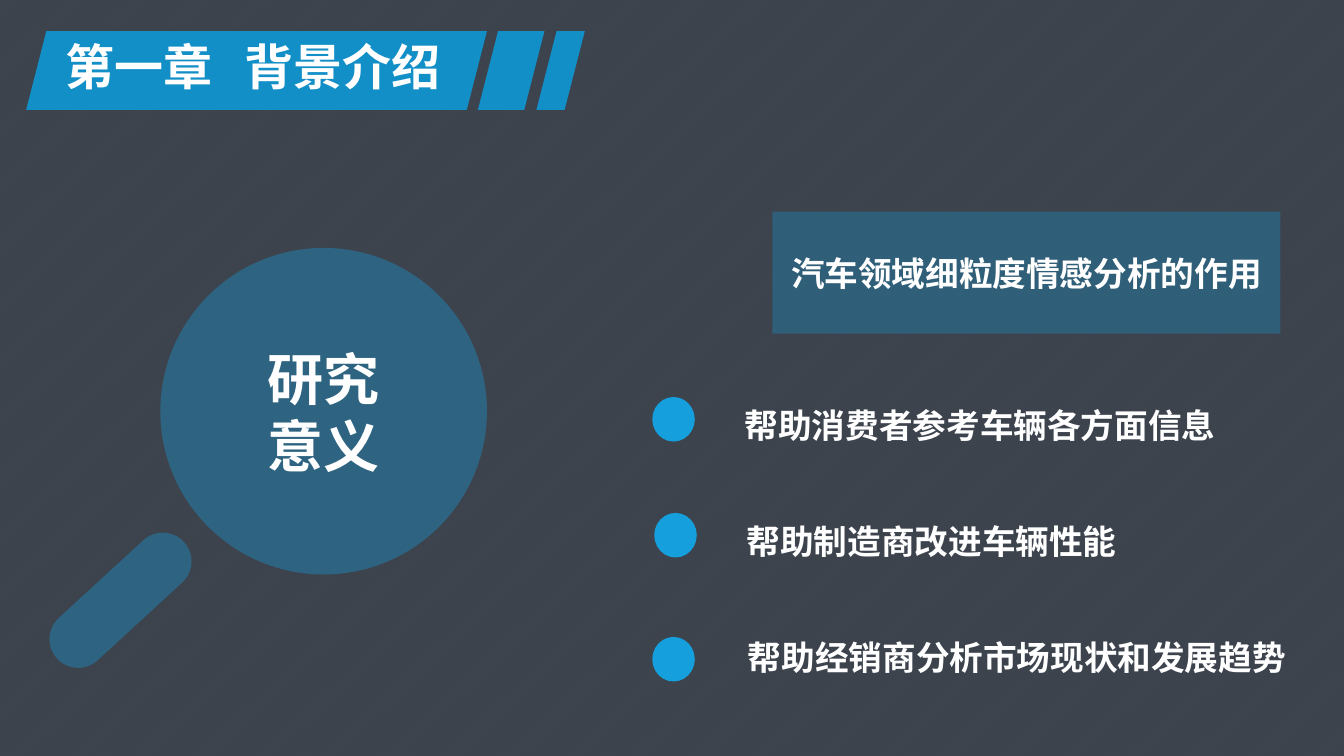
from pptx import Presentation
from pptx.dml.color import RGBColor
from pptx.enum.dml import MSO_PATTERN
from pptx.enum.shapes import MSO_SHAPE as Shape
from pptx.enum.text import MSO_ANCHOR as Anchor, PP_ALIGN as Align
from pptx.oxml.ns import qn
from pptx.util import Inches, Pt
from lxml import etree

# Content
CHAPTER = ("第一章", "背景介绍")
TOPIC = ["研究", "意义"]
HEADING = "汽车领域细粒度情感分析的作用"
# text, (left, width, height) of its box, (left, top) of its dot
BENEFITS = [
    ("帮助消费者参考车辆各方面信息", (7.15, 5.14, 0.91), (6.49, 3.96)),
    ("帮助制造商改进车辆性能", (7.29, 3.9, 0.91), (6.51, 5.11)),
    ("帮助经销商分析市场现状和发展趋势", (7.29, 5.59, 0.5), (6.49, 6.34)),
]
BANNER = [(0.26, 4.57), (4.74, 0.66), (5.32, 0.48)]  # left, width

THEME = {
    "font": "Noto Sans CJK SC", "text": "FFFFFF",
    "stripe": "BFBFBF", "ground": "DDDCE2", "veil": "222A35",
    "banner": "138FC7", "accent": "159FDD",
    "title_size": 35, "topic_size": 40, "body_size": 24,
}
SLIDE_W, SLIDE_H = 13.33, 7.5
BANNER_TOP, BANNER_H, SLANT = 0.31, 0.78, 0.2
BENEFIT_TOP, BENEFIT_STEP = 3.97, 1.15


def rgb(key):
    return RGBColor.from_string(THEME[key])


def add_figure(parent, kind, box, color, alpha=None):
    figure = parent.add_shape(kind, *map(Inches, box))
    figure.shadow.inherit = False
    figure.fill.solid()
    figure.fill.fore_color.rgb = rgb(color)
    figure.line.fill.background()
    if alpha is not None:
        tint = figure.fill._xPr.find(qn("a:solidFill"))[0]
        etree.SubElement(tint, qn("a:alpha")).set("val", str(alpha * 1000))
    return figure


def add_run(paragraph, text, size):
    run = paragraph.add_run()
    run.text = text
    font = run.font
    font.name, font.size, font.bold = THEME["font"], Pt(THEME[size]), True
    font.color.rgb = rgb("text")
    etree.SubElement(run._r.get_or_add_rPr(), qn("a:ea")).set("typeface", THEME["font"])


def write(frame, lines, size, align=Align.CENTER, anchor=Anchor.MIDDLE):
    frame.word_wrap = True
    frame.vertical_anchor = anchor
    for i, line in enumerate(lines):
        paragraph = frame.paragraphs[0] if i == 0 else frame.add_paragraph()
        paragraph.alignment = align
        add_run(paragraph, line, size)


def add_tab_stop(paragraph, position):
    tabs = etree.SubElement(paragraph._p.get_or_add_pPr(), qn("a:tabLst"))
    stop = etree.SubElement(tabs, qn("a:tab"))
    stop.set("pos", str(Inches(position)))
    stop.set("algn", "l")


def main():
    deck = Presentation()
    deck.slide_width, deck.slide_height = Inches(SLIDE_W), Inches(SLIDE_H)
    slide = deck.slides.add_slide(deck.slide_layouts[6])
    shapes = slide.shapes

    # Striped background under a dark veil
    ground = slide.background.fill
    ground.patterned()
    ground.pattern = MSO_PATTERN.LIGHT_UPWARD_DIAGONAL
    ground.fore_color.rgb, ground.back_color.rgb = rgb("stripe"), rgb("ground")
    add_figure(shapes, Shape.RECTANGLE, (0, 0, SLIDE_W, SLIDE_H), "veil", 85)

    # Chapter banner
    for left, width in BANNER:
        band = add_figure(shapes, Shape.PARALLELOGRAM,
                          (left, BANNER_TOP, width, BANNER_H), "banner")
        band.adjustments[0] = SLANT / min(width, BANNER_H)
    chapter = shapes.add_textbox(*map(Inches, (0.55, BANNER_TOP, 4.07, 0.69))).text_frame
    add_tab_stop(chapter.paragraphs[0], 1.78)
    write(chapter, ["\t".join(CHAPTER)], "title_size", Align.LEFT, Anchor.TOP)

    # Magnifier with the topic
    magnifier = shapes.add_group_shape().shapes
    lens = add_figure(magnifier, Shape.OVAL, (1.59, 2.46, 3.24, 3.24), "accent", 36)
    write(lens.text_frame, TOPIC, "topic_size")
    handle = add_figure(magnifier, Shape.ROUNDED_RECTANGLE,
                        (0.34, 5.67, 1.71, 0.57), "accent", 36)
    handle.adjustments[0] = 0.5
    handle.rotation = 317.4

    # Heading and benefits
    heading = add_figure(shapes, Shape.RECTANGLE, (7.66, 2.1, 5.04, 1.21), "accent", 30)
    write(heading.text_frame, [HEADING], "body_size")
    for i, (text, (left, width, height), dot_at) in enumerate(BENEFITS):
        top = BENEFIT_TOP + i * BENEFIT_STEP
        benefit = shapes.add_textbox(*map(Inches, (left, top, width, height)))
        write(benefit.text_frame, [text], "body_size", anchor=Anchor.TOP)
        dot = add_figure(shapes, Shape.OVAL, (*dot_at, 0.38, 0.4), "accent")
        dot.line.color.rgb = rgb("accent")
        dot.line.width = Pt(3)

    deck.save("out.pptx")


if __name__ == "__main__":
    main()
